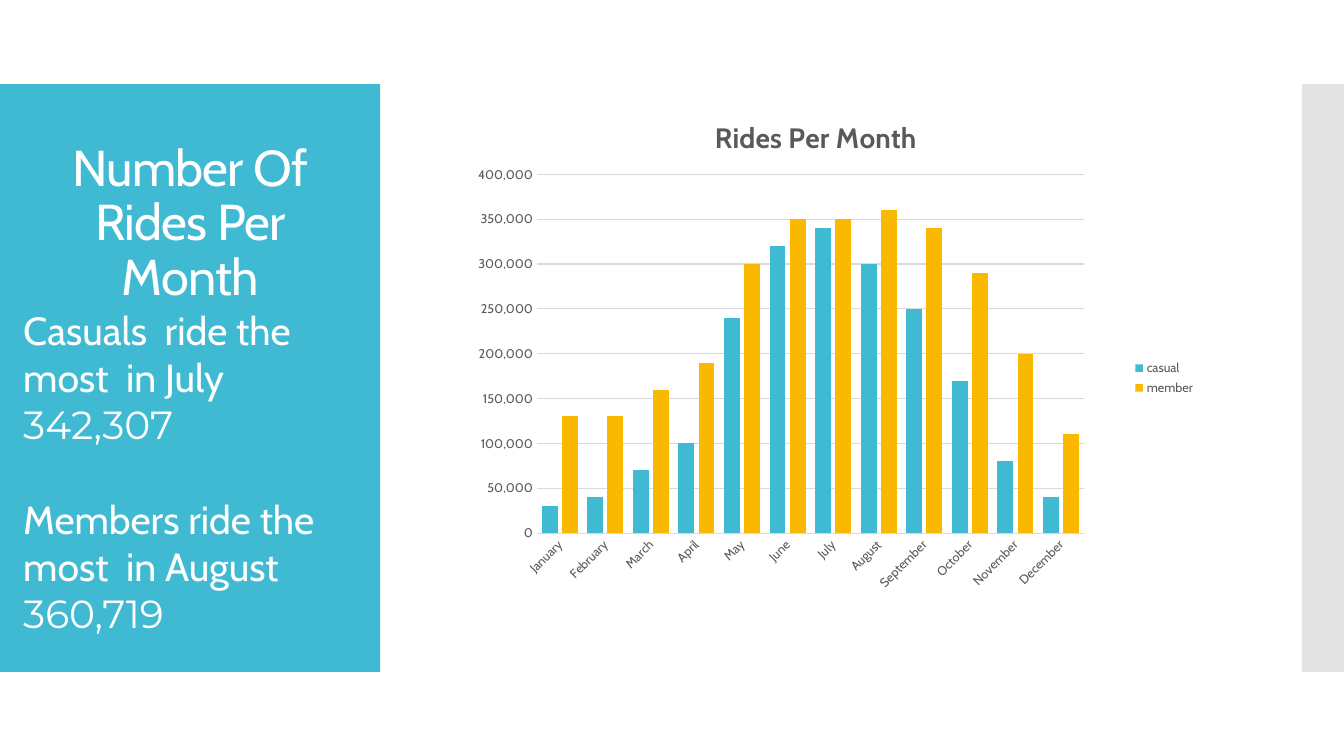
import pptx
import pptx.chart.data
import pptx.dml.color
import pptx.enum.chart
import pptx.enum.shapes
import pptx.enum.text
import pptx.oxml
import pptx.oxml.ns
import pptx.util
from pptx.util import Pt

COLORS = {
    "casual": "40BAD2",
    "member": "FAB900",
    "edge": "C8C8C8",
    "white": "FFFFFF",
    "label": "595959",
    "grid": "D9D9D9",
}
MONTHS = ["January", "February", "March", "April", "May", "June", "July",
          "August", "September", "October", "November", "December"]
RIDES = {
    "casual": [30000, 40000, 70000, 100000, 240000, 320000,
               340000, 300000, 250000, 170000, 80000, 40000],
    "member": [130000, 130000, 160000, 190000, 300000, 350000,
               350000, 360000, 340000, 290000, 200000, 110000],
}
FINDINGS = [("Casuals  ride the most  in July ", "342,307"),
            ("Members ride the most  in August ", "360,719")]
qn = pptx.oxml.ns.qn


def rgb(name):
    """Return the named colour."""
    return pptx.dml.color.RGBColor.from_string(COLORS[name])


def set_font(font, size, color, name="Cabin", bold=None):
    """Format a font."""
    font.size = Pt(size)
    font.color.rgb = rgb(color)
    font.name = name
    font.bold = bold


def add_band(s, x, y, w, h, color, alpha=None):
    """Add a plain filled rectangle, optionally translucent."""
    sp = s.shapes.add_shape(pptx.enum.shapes.MSO_SHAPE.RECTANGLE,
                            Pt(x), Pt(y), Pt(w), Pt(h))
    sp.shadow.inherit = False
    sp.fill.solid()
    sp.fill.fore_color.rgb = rgb(color)
    sp.line.fill.background()
    if alpha:
        clr = next(sp.element.spPr.iter(qn("a:srgbClr")))
        clr.append(pptx.oxml.parse_xml(
            f'<a:alpha {pptx.oxml.ns.nsdecls("a")} val="{alpha * 1000}"/>'))


def add_panel(s, x, y, w, h):
    """Build the coloured panel with the title and the findings."""
    add_band(s, x, y, w, h, "casual")
    title = s.shapes.title
    title.element.getparent().append(title.element)
    title.left, title.top = Pt(x + 20), Pt(y + 28.5)
    title.width, title.height = Pt(w - 39.5), Pt(143.5)
    tf = title.text_frame
    tf.text = "Number Of\vRides Per Month"
    tf.word_wrap = True
    tf.auto_size = pptx.enum.text.MSO_AUTO_SIZE.NONE
    tf.vertical_anchor = pptx.enum.text.MSO_ANCHOR.MIDDLE
    p = tf.paragraphs[0]
    p.alignment = pptx.enum.text.PP_ALIGN.CENTER
    p.line_spacing = 0.9
    set_font(p.font, 36, "white")
    next(title.element.iter(qn("a:defRPr"))).set("spc", "-60")

    sp = s.shapes.add_textbox(Pt(x + 9.5), Pt(y + 155.5), Pt(w - 18.5), Pt(266.5))
    tf = sp.text_frame
    tf.word_wrap = True
    for i, (finding, count) in enumerate(FINDINGS):
        p = tf.add_paragraph() if i else tf.paragraphs[0]
        p.space_before = Pt(34 if i else 0)
        p.font.size = Pt(28)
        p.font.color.rgb = rgb("white")
        for text, name in ((finding, "Cabin"), (count, "Montserrat")):
            r = p.add_run()
            r.text = text
            r.font.name = name


def place_plot(chart, x, y, w, h):
    """Fix the inner plot area as fractions of the chart."""
    area = next(chart.element.iter(qn("c:plotArea")))
    for old in area.findall(qn("c:layout")):
        area.remove(old)
    places = "".join(f'<c:{tag} val="{val}"/>' for tag, val in
                     (("x", x), ("y", y), ("w", w), ("h", h)))
    area.insert(0, pptx.oxml.parse_xml(
        f'<c:layout {pptx.oxml.ns.nsdecls("c")}><c:manualLayout>'
        '<c:layoutTarget val="inner"/><c:xMode val="edge"/><c:yMode val="edge"/>'
        f'{places}</c:manualLayout></c:layout>'))


def add_rides_chart(s, x, y, w, h):
    """Add the clustered columns of rides per month."""
    xl = pptx.enum.chart
    data = pptx.chart.data.CategoryChartData(number_format="#,##0")
    data.categories = MONTHS
    for name, values in RIDES.items():
        data.add_series(name, values)
    chart = s.shapes.add_chart(xl.XL_CHART_TYPE.COLUMN_CLUSTERED,
                               Pt(x), Pt(y), Pt(w), Pt(h), data).chart
    chart.font.name = "Cabin"
    chart.font.size = Pt(10)
    chart.has_title = True
    tf = chart.chart_title.text_frame
    tf.text = "Rides Per Month"
    set_font(tf.paragraphs[0].font, 20, "label", bold=True)
    chart.chart_title.include_in_layout = False
    chart.has_legend = True
    chart.legend.position = xl.XL_LEGEND_POSITION.RIGHT
    chart.legend.include_in_layout = False
    set_font(chart.legend.font, 9, "label")

    plot = chart.plots[0]
    plot.gap_width = 60
    plot.overlap = -27
    plot.vary_by_categories = False
    for series in plot.series:
        series.format.fill.solid()
        series.format.fill.fore_color.rgb = rgb(series.name)

    cat, val = chart.category_axis, chart.value_axis
    for axis in (cat, val):
        axis.major_tick_mark = axis.minor_tick_mark = xl.XL_TICK_MARK.NONE
        set_font(axis.tick_labels.font, 9, "label")
    next(cat.tick_labels.font and chart.element.iter(qn("c:catAx"))).find(
        qn("c:txPr")).find(qn("a:bodyPr")).set("rot", "-2700000")
    val.minimum_scale, val.maximum_scale, val.major_unit = 0, 400000, 50000
    val.tick_labels.number_format = "#,##0"
    val.tick_labels.number_format_is_linked = False
    val.format.line.fill.background()
    val.has_major_gridlines = True
    for line in (cat.format.line, val.major_gridlines.format.line):
        line.color.rgb = rgb("grid")
        line.width = Pt(0.75)
    place_plot(chart, 0.142, 0.139, 0.702, 0.636)


def main():
    """Build and save the slide."""
    prs = pptx.Presentation()
    prs.slide_width, prs.slide_height = Pt(960), Pt(540)
    s = prs.slides.add_slide(prs.slide_layouts[5])
    add_band(s, 930, 60, 30, 420, "edge", alpha=50)
    add_panel(s, 0, 60, 271.5, 420)
    add_rides_chart(s, 304.5, 68.5, 556.5, 403)
    prs.save("out.pptx")


if __name__ == "__main__":
    main()
